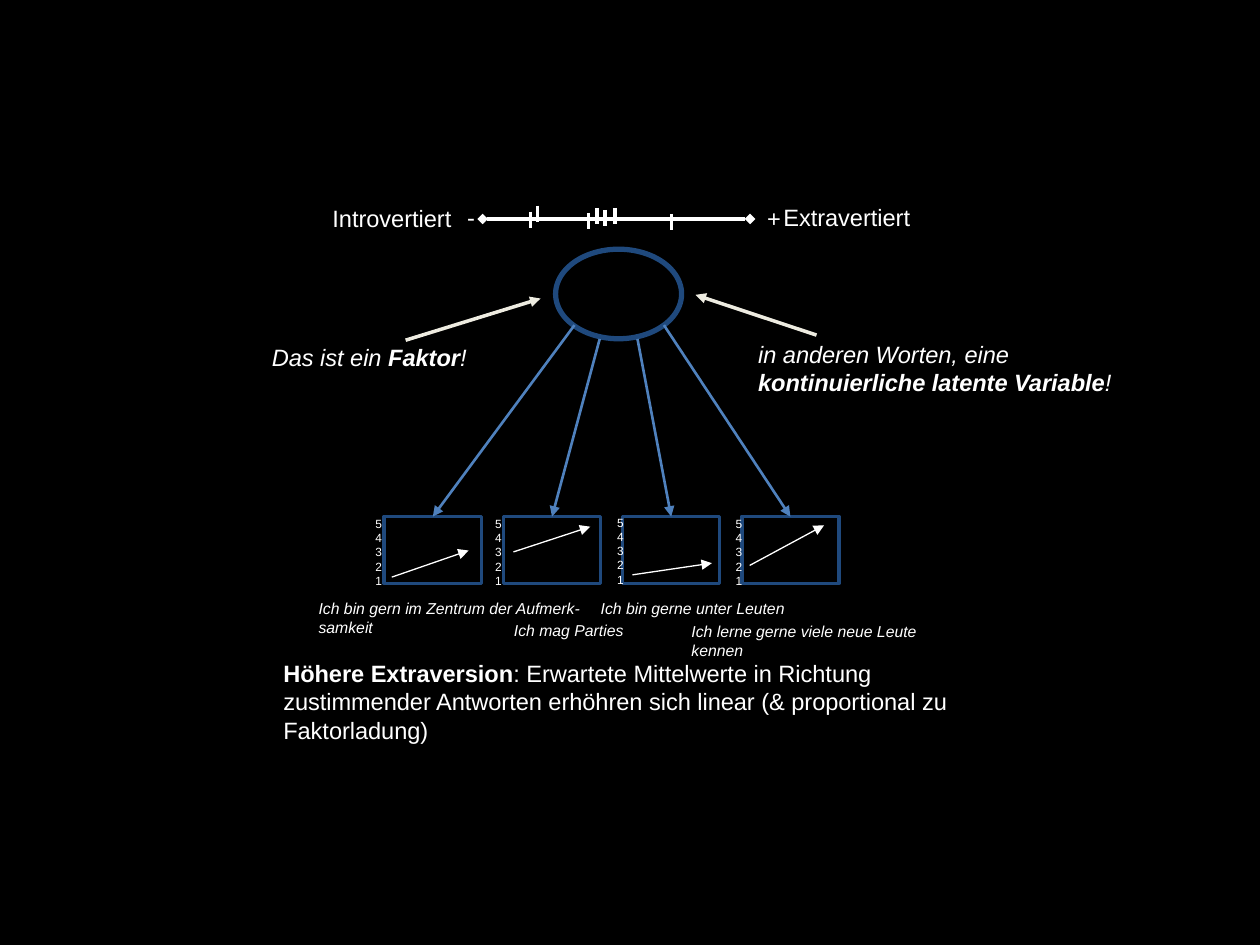
from lxml.etree import SubElement
from pptx import Presentation
from pptx.dml.color import RGBColor
from pptx.enum.shapes import MSO_CONNECTOR, MSO_SHAPE
from pptx.oxml.ns import qn
from pptx.util import Pt

BLACK = RGBColor(0x00, 0x00, 0x00)
WHITE = RGBColor(0xFF, 0xFF, 0xFF)
NAVY = RGBColor(0x1F, 0x49, 0x7D)
BLUE = RGBColor(0x4F, 0x81, 0xBD)
CREAM = RGBColor(0xEE, 0xEC, 0xE1)


class FactorSlide:
    font = "Arial"
    body_size = 13.5
    item_size = 9
    scale_size = 6.8

    def __init__(self, presentation):
        self.slide = presentation.slides.add_slide(presentation.slide_layouts[6])
        background = self.slide.background.fill
        background.solid()
        background.fore_color.rgb = BLACK

    def outline(self, preset, left, top, width, height, weight):
        shape = self.slide.shapes.add_shape(
            preset, Pt(left), Pt(top), Pt(width), Pt(height))
        shape.shadow.inherit = False
        shape.fill.background()
        shape.line.color.rgb = NAVY
        shape.line.width = Pt(weight)
        return shape

    def line(self, start, end, color, weight, head=None, tail=None):
        connector = self.slide.shapes.add_connector(
            MSO_CONNECTOR.STRAIGHT, *(Pt(value) for value in (*start, *end)))
        connector.line.color.rgb = color
        connector.line.width = Pt(weight)
        for tag, kind in (("a:headEnd", head), ("a:tailEnd", tail)):
            if kind:
                SubElement(connector.line._get_or_add_ln(), qn(tag), type=kind)
        SubElement(connector._element.spPr, qn("a:effectLst"))
        return connector

    def text(self, left, top, width, height, paragraphs, size, italic=False):
        """Each paragraph is a list of (text, bold) runs."""
        box = self.slide.shapes.add_textbox(
            Pt(left), Pt(top), Pt(width), Pt(height))
        frame = box.text_frame
        frame.word_wrap = True
        frame.margin_right = 0
        for index, runs in enumerate(paragraphs):
            paragraph = frame.add_paragraph() if index else frame.paragraphs[0]
            for words, bold in runs:
                run = paragraph.add_run()
                run.text = words
                run.font.name = self.font
                run.font.size = Pt(size)
                run.font.bold = bold
                run.font.italic = italic
                run.font.color.rgb = WHITE


def plain(*lines):
    return [[(words, False)] for words in lines]


def main():
    presentation = Presentation()
    presentation.slide_width = Pt(720)
    presentation.slide_height = Pt(540)
    page = FactorSlide(presentation)

    # Factor and its four indicators
    page.outline(MSO_SHAPE.OVAL, 317.5, 142.4, 72, 51.2, 3)
    box_left, box_top, box_width, box_height, box_step = 219.6, 295.2, 55.5, 38.2, 68.1
    loading_starts = [(328.3, 185.8), (342.7, 193.7), (364.3, 193.7), (379.4, 185.8)]
    for index, start in enumerate(loading_starts):
        left = box_left + index * box_step
        indicator = page.outline(
            MSO_SHAPE.RECTANGLE, left, box_top, box_width, box_height, 2)
        loading = page.line(
            start, (left + box_width / 2, box_top), BLUE, 1.5, tail="triangle")
        loading.end_connect(indicator, 0)

    # Continuum with the persons marked on it
    page.line((275.8, 125.1), (428.6, 125.1), WHITE, 2, "diamond", "diamond")
    persons = [(303.1, 121), (307.2, 117.5), (383.6, 122.2), (345.6, 119.9),
               (341.3, 118.8), (351.4, 118.8), (336.2, 121.7)]
    for x, top in persons:
        page.line((x, top), (x, top + 9.2), WHITE, 2)
    for words, left, top, width in [("-", 259.9, 112.3, 15.1),
                                    ("+", 431.3, 113, 15.1),
                                    ("Introvertiert", 182.9, 113, 87.8),
                                    ("Extravertiert", 440.6, 112.3, 89.3)]:
        page.text(left, top, width, 23.8, plain(words), page.body_size)

    # Remarks pointing at the factor
    page.text(148.3, 192.2, 127.4, 23.8,
              [[("Das ist ein ", False), ("Faktor", True), ("!", False)]],
              page.body_size, italic=True)
    page.text(426.2, 190.8, 223.2, 40.3,
              [[("in anderen Worten, eine ", False),
                ("kontinuierliche latente Variable", True), ("!", False)]],
              page.body_size, italic=True)
    page.line((231.8, 194.4), (308.9, 170.6), CREAM, 2, tail="triangle")
    page.line((466.6, 191.5), (397.4, 168.5), CREAM, 2, tail="triangle")

    # Answer scales and expected means
    scales = [(207.4, 291.6), (275.8, 291.6), (345.6, 290.9), (413.3, 291.6)]
    trends = [((223.9, 329.8), (267.8, 314.6)), ((293.4, 315.4), (337.3, 301)),
              ((361.4, 328.5), (406.8, 321.8)), ((428.4, 323.1), (470.9, 300.2))]
    for (left, top), (start, end) in zip(scales, trends):
        page.text(left, top, 42.5, 48.2, plain("5", "4", "3", "2", "1"),
                  page.scale_size)
        page.line(start, end, WHITE, 0.75, tail="triangle")

    # Item wordings
    items = [(("Ich bin gern im Zentrum der Aufmerk-", "samkeit"), 175, 338.4, 225.4, 28.8),
             (("Ich mag Parties",), 286.6, 351.4, 77.8, 18),
             (("Ich bin gerne unter Leuten",), 336.2, 338.4, 120.2, 18),
             (("Ich lerne gerne viele neue Leute kennen",), 388, 351.7, 167, 28.8)]
    for lines, left, top, width, height in items:
        page.text(left, top, width, height, plain(*lines), page.item_size, italic=True)

    # Conclusion
    page.text(154.8, 373, 430.6, 56.2,
              [[("Höhere Extraversion", True),
                (": Erwartete Mittelwerte in Richtung zustimmender Antworten "
                 "erhöhren sich linear (& proportional zu Faktorladung)", False)]],
              page.body_size)

    presentation.save("out.pptx")


if __name__ == "__main__":
    main()
